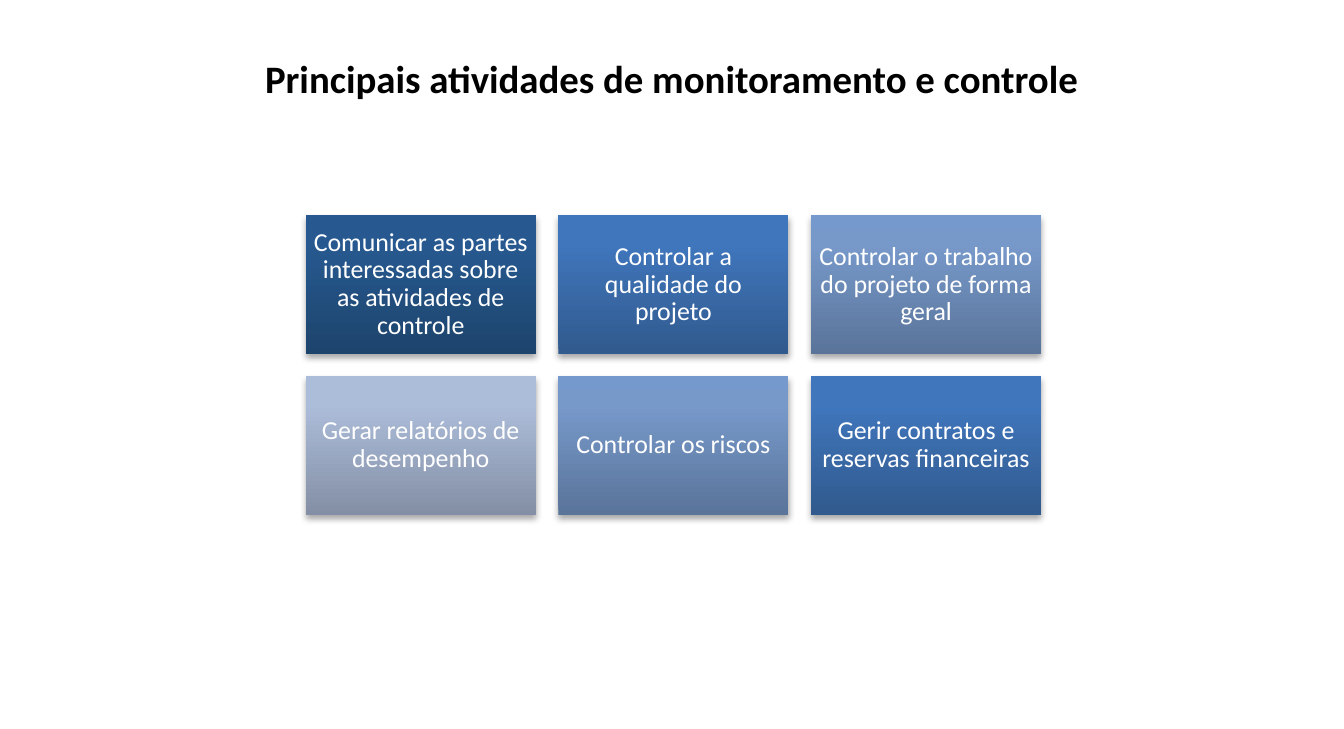
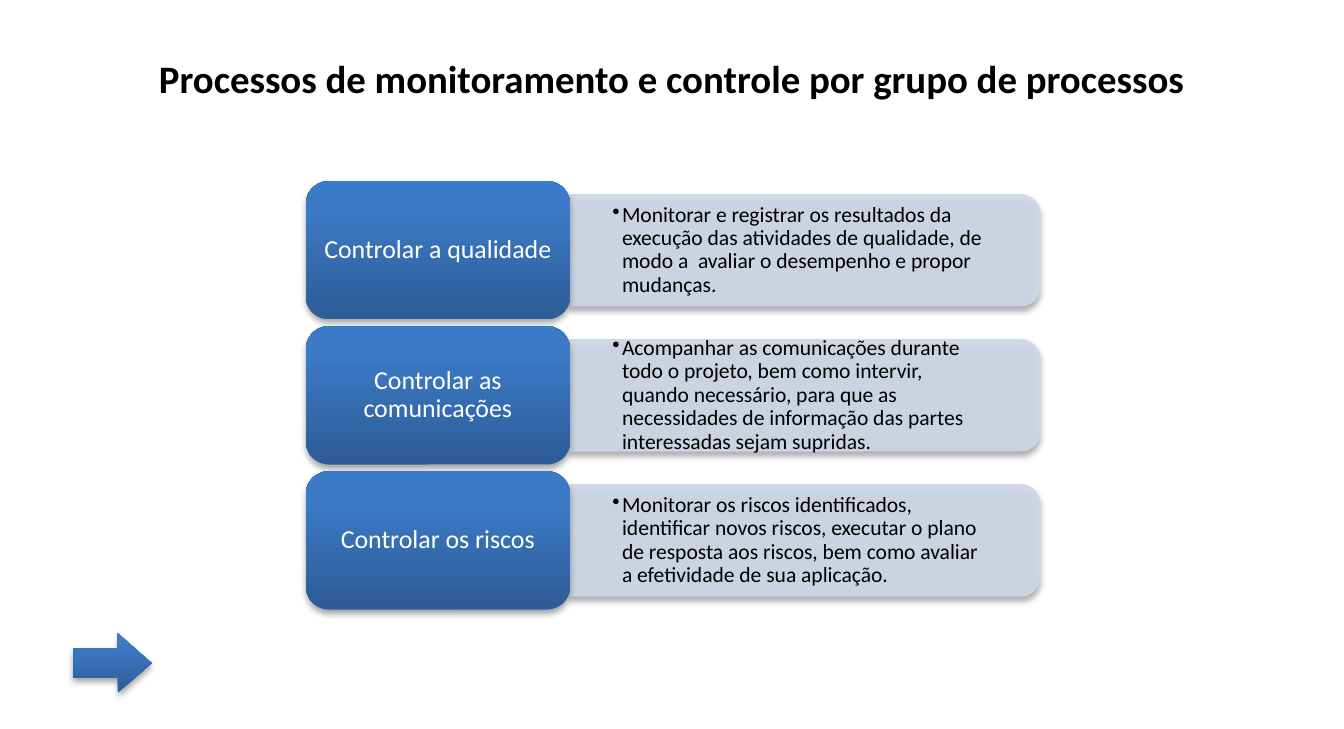
from lxml.etree import SubElement
from pptx import Presentation
from pptx.dml.color import RGBColor
from pptx.enum.shapes import MSO_SHAPE as SHAPE
from pptx.enum.text import MSO_ANCHOR as ANCHOR, PP_ALIGN as ALIGN
from pptx.oxml.ns import qn
from pptx.util import Cm, Pt

FONT, BLACK, WHITE, PANEL = "Calibri", "000000", "FFFFFF", "CFD7E7"
NAVY = ("1D446D", "275990", "255A93")
BLUE = ("315A8E", "4076BC", "3E76BF")
STEEL = ("5A749A", "7799CA", "7699CD")
MIST = ("848FA5", "ACBDDA", "ACBEDC")
ACCENT = ("2D5C97", "3C7AC5", "397BC9")
STOPS = (0, 80000, 100000)
LEFT, BOX_H, CORNER = 5.0, 2.26, 0.167

ACTIVITIES_TITLE = "Principais atividades de monitoramento e controle"
ACTIVITIES = [
    ("Comunicar as partes interessadas sobre as atividades de controle", NAVY),
    ("Controlar a qualidade do projeto", BLUE),
    ("Controlar o trabalho do projeto de forma geral", STEEL),
    ("Gerar relatórios de desempenho", MIST),
    ("Controlar os riscos", STEEL),
    ("Gerir contratos e reservas financeiras", BLUE),
]
PROCESSES_TITLE = "Processos de monitoramento e controle por grupo de processos"
PROCESSES = [
    ("Controlar a qualidade",
     "Monitorar e registrar os resultados da execução das atividades de "
     "qualidade, de modo a  avaliar o desempenho e propor mudanças."),
    ("Controlar as comunicações",
     "Acompanhar as comunicações durante todo o projeto, bem como intervir, "
     "quando necessário, para que as necessidades de informação das partes "
     "interessadas sejam supridas."),
    ("Controlar os riscos",
     "Monitorar os riscos identificados, identificar novos riscos, executar o "
     "plano de resposta aos riscos, bem como avaliar a efetividade de sua aplicação."),
]


def rgb(value):
    return RGBColor.from_string(value)


def add_color(parent, value, alpha=None):
    color = SubElement(parent, qn("a:srgbClr"), val=value)
    if alpha:
        SubElement(color, qn("a:alpha"), val=str(alpha * 1000))


def add_shape(s, kind, x, y, w, h):
    sp = s.shapes.add_shape(kind, Cm(x), Cm(y), Cm(w), Cm(h))
    sp.line.fill.background()
    sp.shadow.inherit = False
    effects = sp._element.spPr.find(qn("a:effectLst"))
    shadow = SubElement(effects, qn("a:outerShdw"), blurRad=str(Pt(3.1)),
                        dist=str(Pt(1.8)), dir="5400000", rotWithShape="0")
    add_color(shadow, BLACK, 35)
    return sp


def add_gradient_shape(s, kind, x, y, w, h, colors):
    sp = add_shape(s, kind, x, y, w, h)
    sp.fill.gradient()
    sp.fill.gradient_angle = 90
    stops = sp._element.spPr.find(qn("a:gradFill")).find(qn("a:gsLst"))
    for stop in list(stops):
        stops.remove(stop)
    for pos, color in zip(STOPS, colors):
        add_color(SubElement(stops, qn("a:gs"), pos=str(pos)), color)
    return sp


def write(sp, text, size, color, inset, align=ALIGN.CENTER, spacing=0.9,
          anchor=ANCHOR.MIDDLE, bold=False):
    tf = sp.text_frame
    tf.word_wrap = True
    tf.vertical_anchor = anchor
    tf.margin_left = tf.margin_right = Cm(inset[0])
    tf.margin_top = tf.margin_bottom = Cm(inset[1])
    p = tf.paragraphs[0]
    p.alignment, p.line_spacing = align, spacing
    r = p.add_run()
    r.text = text
    r.font.name, r.font.size, r.font.bold = FONT, Pt(size), bold
    r.font.color.rgb = rgb(color)
    return p


def add_textbox(s, x, y, w, h):
    return s.shapes.add_textbox(Cm(x), Cm(y), Cm(w), Cm(h))


def add_slide(prs, title):
    s = prs.slides.add_slide(prs.slide_layouts[6])
    write(add_textbox(s, 0, 0.76, 21.97, 1.02), title, 18, BLACK, (0.25, 0.13),
          spacing=1.0, anchor=ANCHOR.TOP, bold=True)
    return s


def add_panel(s, x, y, w, h, text):
    sp = add_shape(s, SHAPE.ROUND_2_SAME_RECTANGLE,
                   x + (w - h) / 2, y + (h - w) / 2, h, w)
    sp.rotation = 90
    sp.adjustments[0], sp.adjustments[1] = CORNER, 0
    sp.fill.solid()
    sp.fill.fore_color.rgb = rgb(PANEL)
    sp.line.color.rgb = rgb(PANEL)
    sp.line.width = Pt(0.75)
    for color in sp._element.spPr.findall(".//" + qn("a:solidFill") + "/" + qn("a:srgbClr")):
        SubElement(color, qn("a:alpha"), val="90000")
    box = add_textbox(s, x, y + 0.09, w - 0.08, h - 0.18)
    p = write(box, text, 10, BLACK, (0.69, 0.36), ALIGN.LEFT)
    pPr = p._p.get_or_add_pPr()
    pPr.set("marL", str(Cm(0.16)))
    pPr.set("indent", str(-Cm(0.16)))
    SubElement(pPr, qn("a:buChar"), char="•")


def build_activities(prs):
    s = add_slide(prs, ACTIVITIES_TITLE)
    w, gap = 3.76, 0.37
    for i, (text, colors) in enumerate(ACTIVITIES):
        row, col = divmod(i, 3)
        sp = add_gradient_shape(s, SHAPE.RECTANGLE, LEFT + col * (w + gap),
                                3.52 + row * (BOX_H + gap), w, BOX_H, colors)
        write(sp, text, 12, WHITE, (0.12, 0.12))


def build_processes(prs):
    s = add_slide(prs, PROCESSES_TITLE)
    label_w, panel_h = 4.32, 1.81
    for i, (label, text) in enumerate(PROCESSES):
        y = 2.96 + i * 2.37
        add_panel(s, LEFT + label_w, y + (BOX_H - panel_h) / 2, 7.67, panel_h, text)
        sp = add_gradient_shape(s, SHAPE.ROUNDED_RECTANGLE, LEFT, y, label_w, BOX_H, ACCENT)
        sp.adjustments[0] = CORNER
        write(sp, label, 12, WHITE, (0.12, 0.06))
    arrow = add_gradient_shape(s, SHAPE.RIGHT_ARROW, 1.19, 10.35, 1.29, 0.97, ACCENT)
    arrow.adjustments[0], arrow.adjustments[1] = 0.5, 0.57


def main():
    """Build the two monitoring and control slides."""
    prs = Presentation()
    prs.slide_width, prs.slide_height = Cm(21.97), Cm(11.91)
    build_activities(prs)
    build_processes(prs)
    prs.save("out.pptx")


if __name__ == "__main__":
    main()
